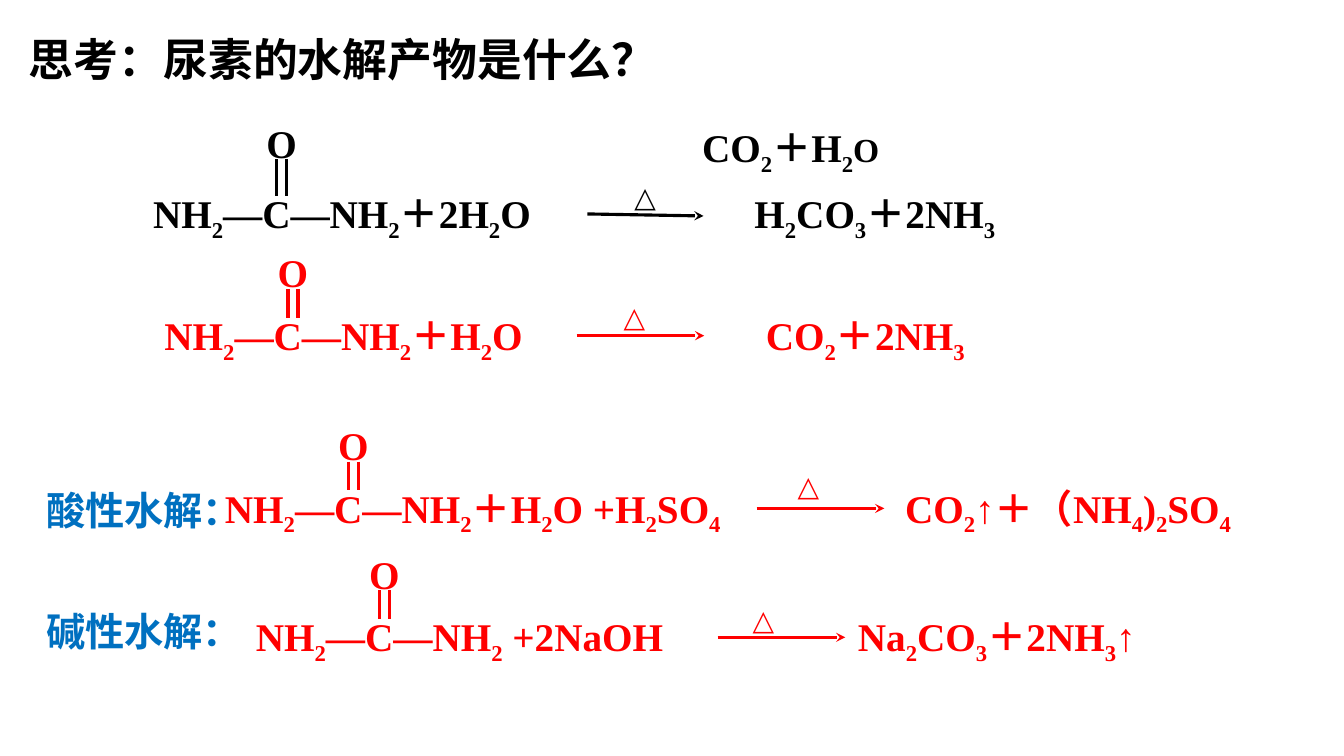
from dataclasses import dataclass

from lxml.etree import SubElement
from pptx import Presentation
from pptx.dml.color import RGBColor
from pptx.enum.shapes import MSO_CONNECTOR
from pptx.enum.text import MSO_ANCHOR, MSO_AUTO_SIZE, PP_ALIGN
from pptx.oxml.ns import qn
from pptx.util import Inches, Pt

BLACK = RGBColor(0x00, 0x00, 0x00)
RED = RGBColor(0xFF, 0x00, 0x00)
BLUE = RGBColor(0x00, 0x70, 0xC0)
LATIN = "Times New Roman"
CHINESE = "Noto Sans CJK SC"

# The page is a grid of 100 columns by 100 rows.
WIDTH, HEIGHT = Inches(13.33), Inches(7.5)
LINE_ROWS = 7.6


@dataclass
class Reaction:
    left: float
    top: float
    reactants: str
    product_left: float
    products: str
    arrow_left: float
    heat_center: float
    heat_rise: float
    arrow_length: float = 9.5
    arrow_drop: float = 0
    oxygen_lift: float = 0
    color: RGBColor = RED


REACTIONS = (
    Reaction(10.65, 24.4, "NH2—C—NH2＋2H2O", 55.4, "H2CO3＋2NH3", 43.7, 48, 1.3,
             arrow_length=8.65, arrow_drop=0.27, oxygen_lift=1, color=BLACK),
    Reaction(11.5, 40.5, "NH2—C—NH2＋H2O", 56.25, "CO2＋2NH3", 42.9, 47.2, 1.6),
    Reaction(16, 63.35, "NH2—C—NH2＋H2O +H2SO4", 66.6, "CO2↑＋（NH4)2SO4", 56.3, 60.15, 2),
    Reaction(18.3, 80.4, "NH2—C—NH2 +2NaOH", 63.1, "Na2CO3＋2NH3↑", 53.4, 56.8, 1.3),
)


def across(columns):
    return int(WIDTH * columns / 100)


def down(rows):
    return int(HEIGHT * rows / 100)


def add_span(para, text, size, color, font=LATIN, subscript=False):
    span = para.add_run()
    span.text = text
    formats = {"size": Pt(size), "bold": True, "name": font}
    for name, value in formats.items():
        setattr(span.font, name, value)
    span.font.color.rgb = color
    properties = span.font._element
    if subscript:
        properties.set("baseline", "-25000")
    SubElement(properties, qn("a:ea")).set("typeface", CHINESE)


def split_formula(formula):
    """Return (text, subscript) pairs; a digit after a letter or bracket is a subscript."""
    parts = []
    for before, mark in zip(" " + formula, formula):
        subscript = mark.isdigit() and (before.isalpha() or before == ")")
        if parts and parts[-1][1] == subscript:
            parts[-1] = (parts[-1][0] + mark, subscript)
        else:
            parts.append((mark, subscript))
    return parts


def add_text_box(page, left, top, width, height=LINE_ROWS, wrap=True, align=PP_ALIGN.LEFT):
    box = page.shapes.add_textbox(across(left), down(top), across(width), down(height))
    box.text_frame.word_wrap = wrap
    box.text_frame.auto_size = MSO_AUTO_SIZE.SHAPE_TO_FIT_TEXT
    para = box.text_frame.paragraphs[0]
    para.alignment = align
    return para


def add_formula(page, left, top, width, formula, color):
    para = add_text_box(page, left, top, width)
    for text, subscript in split_formula(formula):
        add_span(para, text, 28, color, subscript=subscript)
    return para


def add_line(page, start, end, color, arrow=False):
    line = page.shapes.add_connector(
        MSO_CONNECTOR.STRAIGHT,
        across(start[0]), down(start[1]), across(end[0]), down(end[1]))
    line.line.color.rgb = color
    line.line.width = Pt(2.25)
    if arrow:
        SubElement(line.line._get_or_add_ln(), qn("a:tailEnd")).set("type", "stealth")
    SubElement(line._element.spPr, qn("a:effectLst"))


def add_carbonyl(page, center, top, lift, color):
    """Draw the oxygen and double bond above the carbon of a formula."""
    para = add_text_box(page, center - 2, top - 8.3 - lift, 4, align=PP_ALIGN.CENTER)
    add_span(para, "O", 28, color)
    half_gap = 0.37
    for bond in (center - half_gap, center + half_gap):
        add_line(page, (bond, top - 2.3 - lift), (bond, top + 1.5), color)


def add_heated_arrow(page, reaction):
    level = reaction.top + 3.9
    add_line(page, (reaction.arrow_left, level),
             (reaction.arrow_left + reaction.arrow_length, level + reaction.arrow_drop),
             reaction.color, arrow=True)
    para = add_text_box(page, reaction.heat_center - 6.7, reaction.top - reaction.heat_rise,
                        13.4, 5.87, align=PP_ALIGN.CENTER)
    add_span(para, "△", 20, reaction.color)


def add_reaction(page, reaction):
    add_formula(page, reaction.left, reaction.top, 44, reaction.reactants, reaction.color)
    add_formula(page, reaction.product_left, reaction.top, 31, reaction.products, reaction.color)
    add_carbonyl(page, reaction.left + 10.3, reaction.top, reaction.oxygen_lift, reaction.color)
    add_heated_arrow(page, reaction)


def add_title(page):
    title = page.shapes.title
    placement = {"left": across(1.4), "top": down(3.5), "width": across(48.8), "height": down(8.5)}
    for name, value in placement.items():
        setattr(title, name, value)
    frame = title.text_frame
    frame.word_wrap = False
    frame.auto_size = MSO_AUTO_SIZE.SHAPE_TO_FIT_TEXT
    frame.vertical_anchor = MSO_ANCHOR.TOP
    para = frame.paragraphs[0]
    para.alignment = PP_ALIGN.LEFT
    add_span(para, "思考：尿素的水解产物是什么？", 32, BLACK, CHINESE)


def add_label(page, top, text):
    para = add_text_box(page, 2.7, top, 16, wrap=False)
    add_span(para, text, 28, BLUE, CHINESE)


def main():
    deck = Presentation()
    deck.slide_width, deck.slide_height = WIDTH, HEIGHT
    page = deck.slides.add_slide(deck.slide_layouts[5])
    add_title(page)
    for reaction in REACTIONS:
        add_reaction(page, reaction)
    decomposition = add_formula(page, 51.5, 15.7, 17.4, "CO2＋H2", BLACK)
    add_span(decomposition, "O", 24, BLACK)
    add_label(page, 63.7, "酸性水解：")
    add_label(page, 79.7, "碱性水解：")
    deck.save("out.pptx")


if __name__ == "__main__":
    main()
